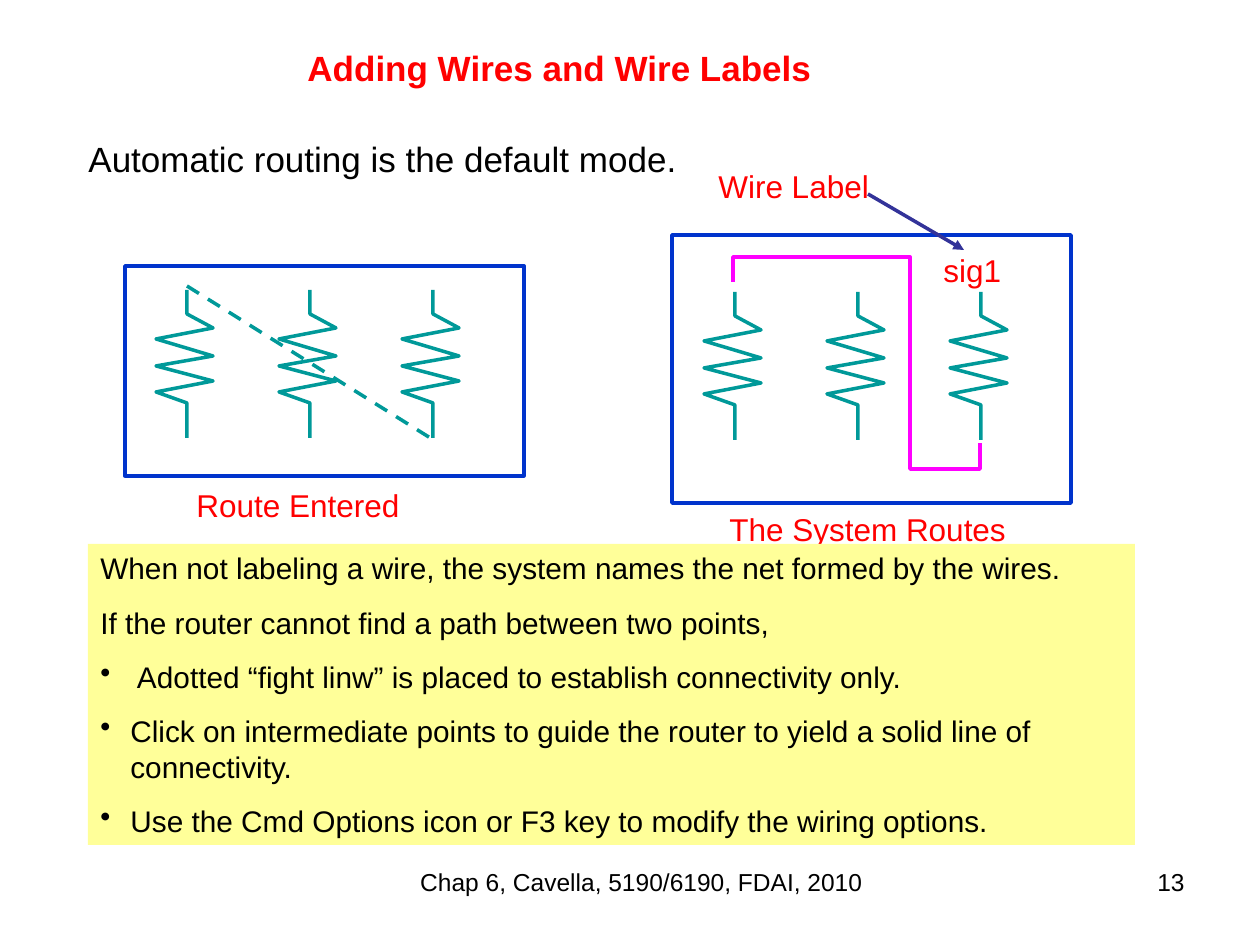
import pptx
import pptx.util
import pptx.dml.color
import pptx.enum.dml
import pptx.enum.shapes
import pptx.enum.text
import pptx.oxml.ns
from dataclasses import dataclass
from lxml import etree

PX = 914400 / 126  # EMU in one px
ALIGN = pptx.enum.text.PP_ALIGN
ANCHOR = pptx.enum.text.MSO_ANCHOR


@dataclass(frozen=True)
class Theme:
    font: str = "Arial"
    black: str = "000000"
    white: str = "FFFFFF"
    red: str = "FF0000"
    frame: str = "0033CC"
    resistor: str = "009999"
    wire: str = "FF00FF"
    pointer: str = "333399"
    note: str = "FFFF99"
    heading_size: int = 20
    label_size: int = 18
    note_size: int = 17
    footer_size: int = 14
    line_width: int = 2


def emu(px):
    return pptx.util.Emu(round(px * PX))


def rgb(color):
    return pptx.dml.color.RGBColor.from_string(color)


class SlideBuilder:
    def __init__(self, slide, theme):
        self.shapes = slide.shapes
        self.theme = theme

    def stroke(self, element, color):
        element.line.color.rgb = rgb(color)
        element.line.width = pptx.util.Pt(self.theme.line_width)

    def paragraph(self, para, wording, size, color, bold=False, align=ALIGN.LEFT, before=0):
        para.alignment = align
        para.space_before = pptx.util.Pt(before)
        run = para.add_run()
        run.text = wording
        run.font.name = self.theme.font
        run.font.size = pptx.util.Pt(size)
        run.font.bold = bold
        run.font.color.rgb = rgb(color)

    def bullet(self, para, indent):
        props = para._p.get_or_add_pPr()
        props.set("marL", str(emu(indent)))
        props.set("indent", str(-emu(indent)))
        mark = etree.SubElement(props, pptx.oxml.ns.qn("a:buChar"))
        mark.set("char", "•")

    def text(self, box, wording, size, color, anchor=ANCHOR.TOP, **style):
        frame = self.shapes.add_textbox(*map(emu, box)).text_frame
        frame.word_wrap = True
        frame.vertical_anchor = anchor
        self.paragraph(frame.paragraphs[0], wording, size, color, **style)

    def label(self, x, y, width, wording):
        self.text((x, y, width, 50), wording, self.theme.label_size, self.theme.red, before=11.2)

    def rectangle(self, box, fill, line=None):
        rect = self.shapes.add_shape(pptx.enum.shapes.MSO_SHAPE.RECTANGLE, *map(emu, box))
        rect.shadow.inherit = False
        rect.fill.solid()
        rect.fill.fore_color.rgb = rgb(fill)
        if line:
            self.stroke(rect, line)
        else:
            rect.line.fill.background()
        return rect

    def note(self, box, lines):
        frame = self.rectangle(box, self.theme.note).text_frame
        frame.word_wrap = True
        frame.vertical_anchor = ANCHOR.TOP
        for i, (wording, bulleted) in enumerate(lines):
            para = frame.add_paragraph() if i else frame.paragraphs[0]
            self.paragraph(para, wording, self.theme.note_size, self.theme.black, before=10.6)
            if bulleted:
                self.bullet(para, 30)

    def polyline(self, points, color):
        builder = self.shapes.build_freeform(*points[0], scale=PX)
        builder.add_line_segments(points[1:], close=False)
        outline = builder.convert_to_shape()
        outline.shadow.inherit = False
        outline.fill.background()
        self.stroke(outline, color)

    def resistor(self, x, y):
        zigzag = [(0, 0), (0, 24), (26, 38), (-31, 49), (26, 66), (-31, 76),
                  (26, 91), (-31, 102), (0, 113), (0, 148)]
        self.polyline([(x + dx, y + dy) for dx, dy in zigzag], self.theme.resistor)

    def resistor_row(self, x, y):
        for i in range(3):
            self.resistor(x + 123 * i, y)

    def line(self, start, end, color, dashed=False, arrow=False):
        link = self.shapes.add_connector(
            pptx.enum.shapes.MSO_CONNECTOR.STRAIGHT, *map(emu, start + end))
        self.stroke(link, color)
        if dashed:
            link.line.dash_style = pptx.enum.dml.MSO_LINE.DASH
        if arrow:
            head = etree.SubElement(link.line._get_or_add_ln(), pptx.oxml.ns.qn("a:tailEnd"))
            head.set("type", "triangle")
        etree.SubElement(link._element.spPr, pptx.oxml.ns.qn("a:effectLst"))


def main():
    deck = pptx.Presentation()
    deck.slide_width, deck.slide_height = emu(1260), emu(945)
    theme = Theme()
    page = SlideBuilder(deck.slides.add_slide(deck.slide_layouts[6]), theme)

    # Footer
    page.text((200, 861, 883, 66), "Chap 6, Cavella, 5190/6190, FDAI, 2010",
              theme.footer_size, theme.black, align=ALIGN.CENTER)
    page.text((903, 861, 294, 66), "13", theme.footer_size, theme.black, align=ALIGN.RIGHT)

    # Title and statement
    page.text((272, 38, 575, 60), "Adding Wires and Wire Labels", theme.heading_size,
              theme.red, anchor=ANCHOR.MIDDLE, bold=True, align=ALIGN.CENTER)
    page.text((76, 131, 1138, 648), "Automatic routing is the default mode.",
              theme.heading_size, theme.black, before=5)

    # Route as entered
    page.rectangle((125, 266, 399, 210), theme.white, theme.frame)
    page.resistor_row(187, 290)
    page.line((187, 286), (432, 439), theme.resistor, dashed=True)

    # Route made by the system
    page.rectangle((672, 235, 399, 268), theme.white, theme.frame)
    page.resistor_row(735, 292)
    page.polyline([(733, 282), (733, 257), (910, 257), (910, 469), (980, 469), (980, 443)],
                  theme.wire)

    # Labels and pointer
    page.label(706, 161, 203, "Wire Label")
    page.label(931, 245, 103, "sig1")
    page.line((868, 194), (964, 250), theme.pointer, arrow=True)
    page.label(184, 480, 285, "Route Entered")
    page.label(717, 504, 378, "The System Routes")

    # Notes on naming and routing
    page.note((88, 544, 1047, 301), [
        ("When not labeling a wire, the system names the net formed by the wires.", False),
        ("If the router cannot find a path between two points,", False),
        (" Adotted “fight linw” is placed to establish connectivity only.", True),
        ("Click on intermediate points to guide the router to yield a solid line of "
         "connectivity.", True),
        ("Use the Cmd Options icon or F3 key to modify the wiring options.", True),
    ])

    deck.save("out.pptx")


if __name__ == "__main__":
    main()
